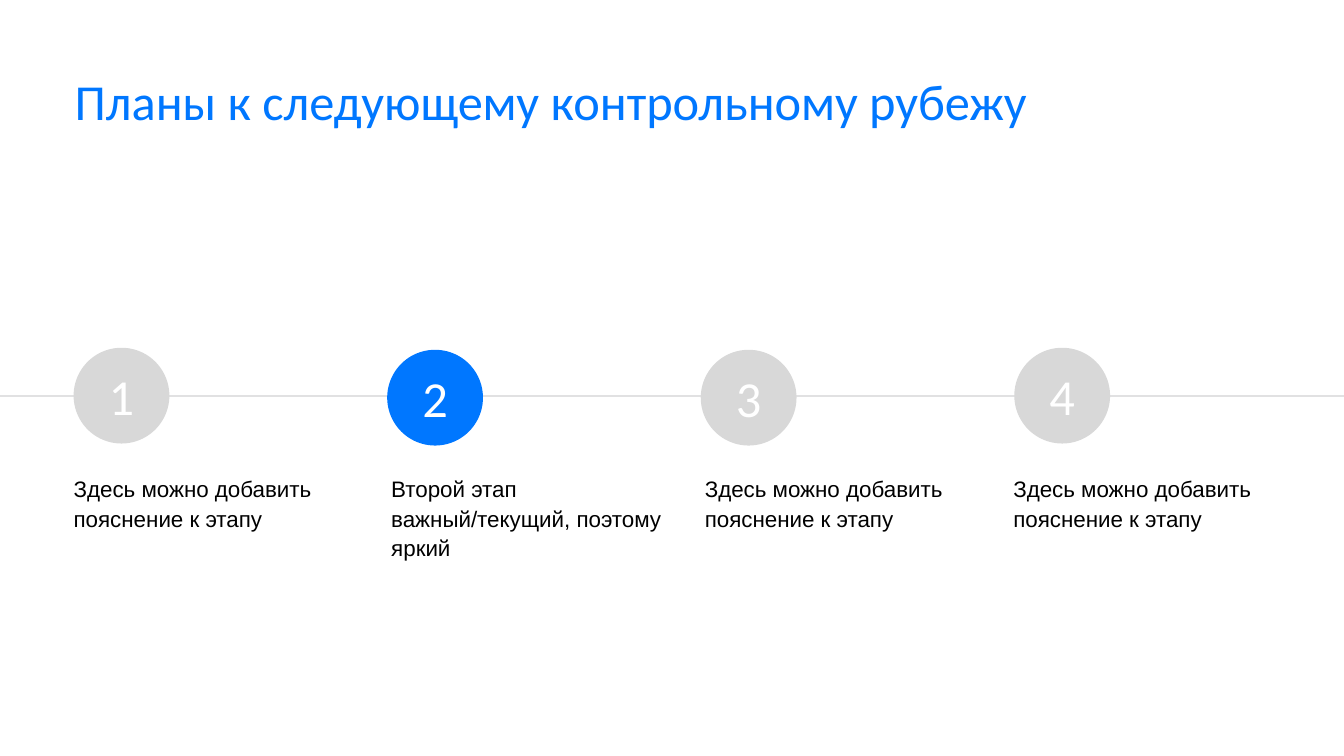
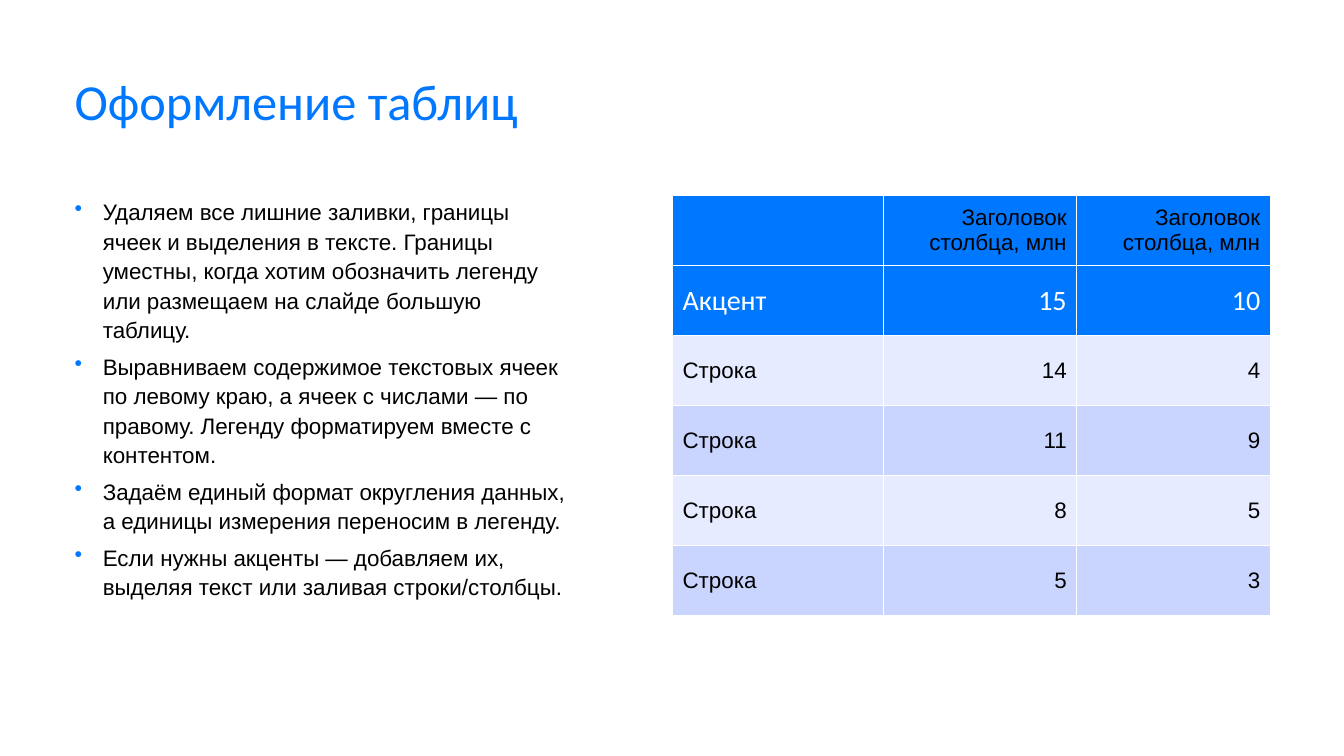
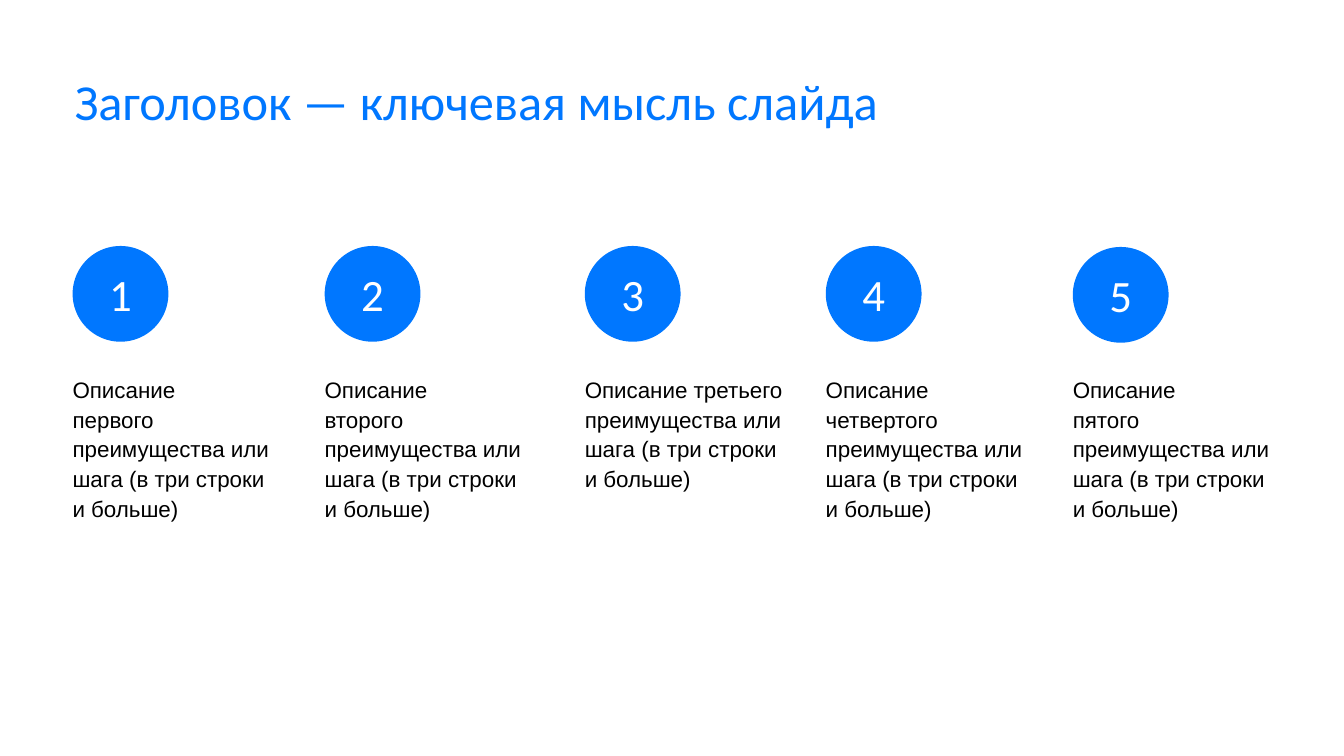
from lxml.etree import SubElement
from pptx import Presentation
from pptx.dml.color import RGBColor
from pptx.enum.shapes import MSO_CONNECTOR, MSO_SHAPE
from pptx.enum.text import MSO_ANCHOR, PP_ALIGN
from pptx.oxml.ns import qn
from pptx.util import Inches, Pt

BLUE = RGBColor(0x00, 0x77, 0xFF)
GREY = RGBColor(0xD8, 0xD8, 0xD8)
LINE_GREY = RGBColor(0xE1, 0xE1, 0xE2)
PALE = RGBColor(0xE6, 0xEB, 0xFF)
SOFT = RGBColor(0xCA, 0xD5, 0xFF)
BLACK = RGBColor(0x00, 0x00, 0x00)
WHITE = RGBColor(0xFF, 0xFF, 0xFF)

HEADING_FONT = "Calibri"
BODY_FONT = "Arial"
SLIDE_WIDTH = 13.33
BADGE_SIZE = 0.95


class Deck:
    """Holds the shared style and the current slide."""

    def __init__(self):
        self.prs = Presentation()
        self.prs.slide_width = Inches(SLIDE_WIDTH)
        self.prs.slide_height = Inches(7.5)
        self.slide = None

    def new_slide(self, title):
        self.slide = self.prs.slides.add_slide(self.prs.slide_layouts[6])
        frame = self.text_frame(0.74, 0.76, 11.87, 0.7)
        self.add_text(frame.paragraphs[0], title, 36, HEADING_FONT, BLUE, spacing=0.9)

    @staticmethod
    def set_margins(target, margins):
        (target.margin_left, target.margin_top,
         target.margin_right, target.margin_bottom) = [Inches(m) for m in margins]

    @staticmethod
    def add_text(paragraph, text, size=16, font=BODY_FONT, color=BLACK,
                 align=PP_ALIGN.LEFT, spacing=1.0):
        paragraph.alignment = align
        paragraph.line_spacing = spacing
        for number, line in enumerate(text.split("\n")):
            if number:
                paragraph.add_line_break()
            run = paragraph.add_run()
            run.text = line
            run.font.size = Pt(size)
            run.font.name = font
            run.font.color.rgb = color

    def text_frame(self, left, top, width, height, margins=(0, 0, 0, 0)):
        box = self.slide.shapes.add_textbox(
            Inches(left), Inches(top), Inches(width), Inches(height))
        frame = box.text_frame
        frame.word_wrap = True
        self.set_margins(frame, margins)
        return frame

    def caption(self, left, top, width, height, text, margins):
        frame = self.text_frame(left, top, width, height, margins)
        self.add_text(frame.paragraphs[0], text, spacing=1.1)

    def bullets(self, left, top, width, height, items):
        frame = self.text_frame(left, top, width, height)
        for number, item in enumerate(items):
            paragraph = frame.add_paragraph() if number else frame.paragraphs[0]
            properties = paragraph._p.get_or_add_pPr()
            properties.set("marL", str(Inches(0.28)))
            properties.set("indent", str(-Inches(0.28)))
            bullet_color = SubElement(properties, qn("a:buClr"))
            SubElement(bullet_color, qn("a:srgbClr"), val=str(BLUE))
            SubElement(properties, qn("a:buChar"), char="•")
            if number:
                paragraph.space_before = Pt(5)
            self.add_text(paragraph, item, spacing=1.1)

    def badge(self, left, top, number, fill, size):
        circle = self.slide.shapes.add_shape(
            MSO_SHAPE.OVAL, Inches(left), Inches(top),
            Inches(BADGE_SIZE), Inches(BADGE_SIZE))
        circle.shadow.inherit = False
        circle.fill.solid()
        circle.fill.fore_color.rgb = fill
        circle.line.fill.background()
        frame = circle.text_frame
        frame.vertical_anchor = MSO_ANCHOR.MIDDLE
        self.set_margins(frame, (0, 0.05, 0, 0.05))
        self.add_text(frame.paragraphs[0], str(number), size, HEADING_FONT, WHITE,
                      PP_ALIGN.CENTER)

    def timeline(self, y):
        axis = self.slide.shapes.add_connector(
            MSO_CONNECTOR.STRAIGHT, 0, Inches(y), Inches(SLIDE_WIDTH), Inches(y))
        axis.line.color.rgb = LINE_GREY
        axis.line.width = Pt(1)
        SubElement(axis._element.spPr, qn("a:effectLst"))

    def table(self, left, top, widths, height, rows, fills, accent_row):
        table = self.slide.shapes.add_table(
            len(rows), len(widths), Inches(left), Inches(top),
            Inches(sum(widths)), Inches(height)).table
        for column, width in zip(table.columns, widths):
            column.width = Inches(width)
        for r, (values, fill) in enumerate(zip(rows, fills)):
            table.rows[r].height = Inches(height / len(rows))
            style = (20, HEADING_FONT, WHITE) if r == accent_row else (16, BODY_FONT, BLACK)
            for c, value in enumerate(values):
                cell = table.cell(r, c)
                cell.fill.solid()
                cell.fill.fore_color.rgb = fill
                cell.vertical_anchor = MSO_ANCHOR.MIDDLE
                self.set_margins(cell, (0.1, 0.05, 0.1, 0.05))
                if value:
                    align = PP_ALIGN.RIGHT if c else PP_ALIGN.LEFT
                    self.add_text(cell.text_frame.paragraphs[0], value, *style, align)


def plans_slide(deck):
    deck.new_slide("Планы к следующему контрольному рубежу")
    deck.timeline(3.93)
    note = "Здесь можно добавить пояснение к этапу"
    current_note = "Второй этап важный/текущий, поэтому яркий"
    # Stages: badge top, badge fill, caption left, caption
    stages = [
        (3.45, GREY, 0.69, note),
        (3.47, BLUE, 3.84, current_note),
        (3.47, GREY, 6.95, note),
        (3.45, GREY, 10.01, note),
    ]
    for index, (badge_top, fill, caption_left, text) in enumerate(stages):
        deck.badge(0.73 + 3.11 * index, badge_top, index + 1, fill, 36)
        deck.caption(caption_left, 4.65, 2.79, 0.95, text, (0.04,) * 4)


def tables_slide(deck):
    deck.new_slide("Оформление таблиц")
    # Formatting rules
    deck.bullets(0.74, 1.94, 4.87, 4.84, [
        "Удаляем все лишние заливки, границы ячеек и выделения в тексте. "
        "Границы уместны, когда хотим обозначить легенду или размещаем "
        "на слайде большую таблицу.",
        "Выравниваем содержимое текстовых ячеек по левому краю, а ячеек "
        "с числами — по правому. Легенду форматируем вместе с контентом.",
        "Задаём единый формат округления данных, а единицы измерения "
        "переносим в легенду.",
        "Если нужны акценты — добавляем их, выделяя текст или заливая "
        "строки/столбцы.",
    ])
    # Sample table
    heading = "Заголовок столбца, млн"
    rows = [
        ("", heading, heading),
        ("Акцент", "15", "10"),
        ("Строка", "14", "4"),
        ("Строка", "11", "9"),
        ("Строка", "8", "5"),
        ("Строка", "5", "3"),
    ]
    deck.table(6.67, 1.94, (2.09, 1.92, 1.92), 4.17, rows,
               [BLUE] * 2 + [PALE, SOFT] * 2, accent_row=1)


def benefits_slide(deck):
    deck.new_slide("Заголовок — ключевая мысль слайда")
    # Benefits: left edge, badge top, start of the description
    benefits = [
        (0.72, 2.44, "Описание\nпервого"),
        (3.22, 2.44, "Описание\nвторого"),
        (5.8, 2.44, "Описание третьего"),
        (8.19, 2.44, "Описание четвертого"),
        (10.64, 2.45, "Описание\nпятого"),
    ]
    for number, (left, badge_top, start) in enumerate(benefits, 1):
        deck.badge(left, badge_top, number, BLUE, 32)
        deck.caption(left, 3.66, 2.14, 2.39,
                     f"{start} преимущества или шага (в три строки и больше)",
                     (0, 0.05, 0.1, 0.05))


def main():
    deck = Deck()
    plans_slide(deck)
    tables_slide(deck)
    benefits_slide(deck)
    deck.prs.save("out.pptx")


if __name__ == "__main__":
    main()
